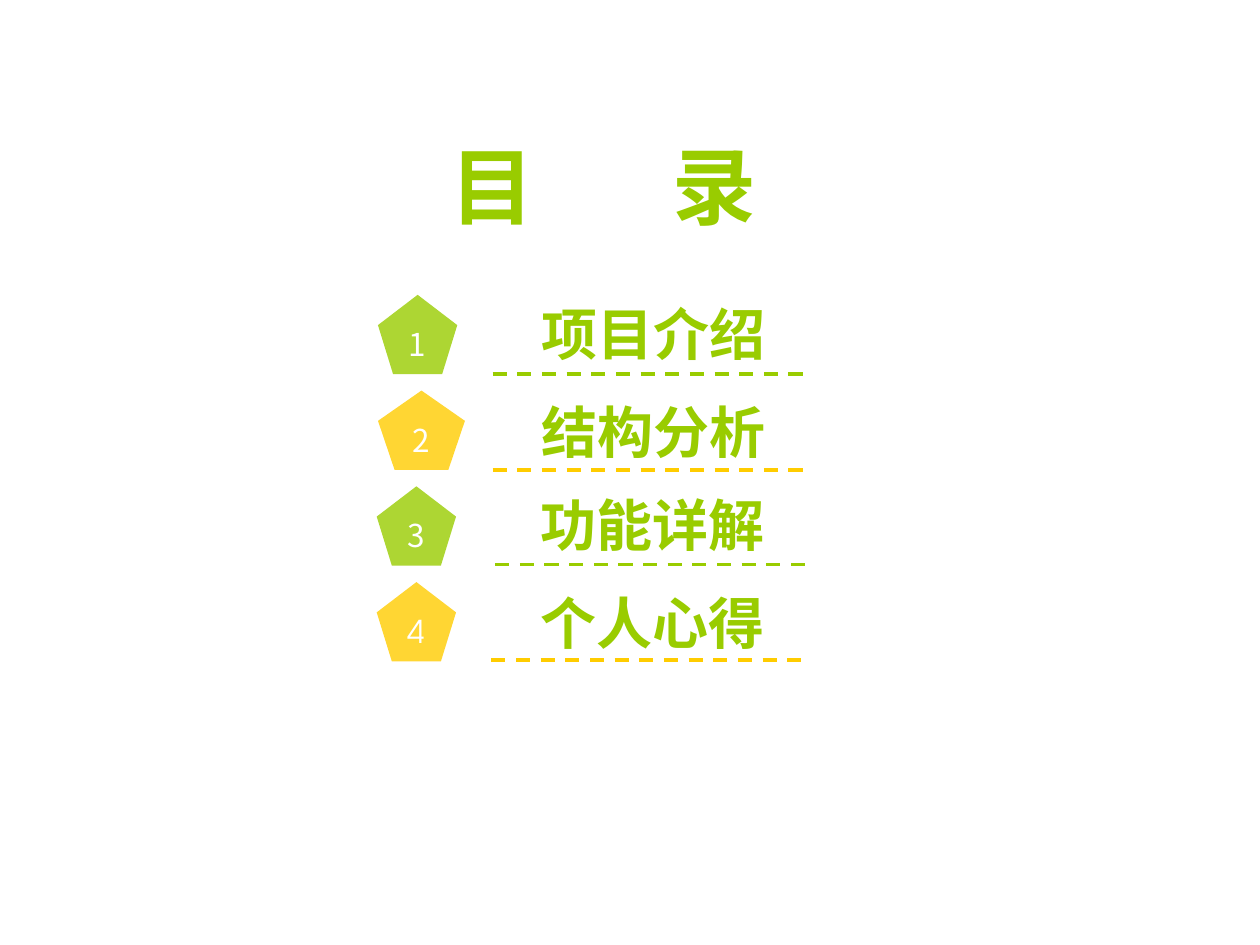
from lxml import etree
from pptx import Presentation
from pptx.dml.color import RGBColor
from pptx.enum.dml import MSO_LINE
from pptx.enum.shapes import MSO_CONNECTOR, MSO_SHAPE as SHAPE
from pptx.enum.text import MSO_ANCHOR, MSO_AUTO_SIZE, PP_ALIGN
from pptx.oxml.ns import qn
from pptx.util import Inches, Pt

COLORS = {"green": "99CC00", "yellow": "FFCC00", "white": "FFFFFF"}
HEADING_FONT = "TeX Gyre Adventor"
NUMBER_FONT = "Noto Sans CJK SC"
FIRST_TOP, PITCH, BADGE_HEIGHT = 2.34, 0.76, 0.63
RULE_LENGTH = 2.52

ENTRIES = [
    ("项目介绍", "green", NUMBER_FONT, 3, 0.63, 3.91, 2.97, 3.63, 2.33),
    ("结构分析", "yellow", NUMBER_FONT, 3, 0.69, 3.91, 3.73, 3.63, 3.11),
    ("功能详解", "green", NUMBER_FONT, 2.99, 0.63, 3.93, 4.48, 3.62, 3.84),
    ("个人心得", "yellow", HEADING_FONT, 2.99, 0.63, 3.9, 5.24, 3.62, 4.62),
]


def rgb(name):
    return RGBColor.from_string(COLORS[name])


def style_runs(paragraph, size, color, font_name, bold=False):
    paragraph.alignment = PP_ALIGN.CENTER
    for run in paragraph.runs:
        run.font.size = Pt(size)
        run.font.bold = bold
        run.font.name = font_name
        run.font.color.rgb = rgb(color)
        east_asian = etree.SubElement(run.font._element, qn("a:ea"))
        east_asian.set("typeface", font_name)


def add_heading(slide, text, left, top, width, height, size):
    box = slide.shapes.add_textbox(Inches(left), Inches(top), Inches(width), Inches(height))
    box.text_frame.word_wrap = True
    box.text_frame.auto_size = MSO_AUTO_SIZE.SHAPE_TO_FIT_TEXT
    paragraph = box.text_frame.paragraphs[0]
    paragraph.text = text
    style_runs(paragraph, size, "green", HEADING_FONT, bold=True)
    return paragraph


def add_title(slide):
    title = add_heading(slide, "目 ", 2.34, 1.02, 4.9, 0.9, 48)
    title.runs[0].font._element.set("spc", "3250")
    title.add_run().text = "录"
    last = title.runs[1]
    last.font.size = Pt(48)
    last.font.bold = True
    last.font.name = HEADING_FONT
    last.font.color.rgb = rgb("green")
    etree.SubElement(last.font._element, qn("a:ea")).set("typeface", HEADING_FONT)


def add_badge(slide, number, color, font_name, left, top, width):
    badge = slide.shapes.add_shape(
        SHAPE.REGULAR_PENTAGON, Inches(left), Inches(top), Inches(width), Inches(BADGE_HEIGHT))
    badge.shadow.inherit = False
    badge.fill.solid()
    badge.fill.fore_color.rgb = rgb(color)
    fill_color = badge._element.spPr.find(qn("a:solidFill"))[0]
    etree.SubElement(fill_color, qn("a:alpha")).set("val", "80000")
    badge.line.fill.background()
    frame = badge.text_frame
    frame.word_wrap = False
    frame.vertical_anchor = MSO_ANCHOR.MIDDLE
    frame.text = str(number)
    style_runs(frame.paragraphs[0], 18, "white", font_name)


def add_rule(slide, color, left, top):
    rule = slide.shapes.add_connector(
        MSO_CONNECTOR.STRAIGHT, Inches(left), Inches(top), Inches(left + RULE_LENGTH), Inches(top))
    rule.line.color.rgb = rgb(color)
    rule.line.width = Pt(2)
    rule.line.dash_style = MSO_LINE.DASH
    etree.SubElement(rule._element.spPr, qn("a:effectLst"))


def main():
    deck = Presentation()
    deck.slide_width, deck.slide_height = Inches(10), Inches(7.5)
    slide = deck.slides.add_slide(deck.slide_layouts[6])
    add_title(slide)
    for index, entry in enumerate(ENTRIES):
        (label, color, number_font, badge_left, badge_width,
         rule_left, rule_top, label_left, label_top) = entry
        badge_top = FIRST_TOP + index * PITCH
        add_badge(slide, index + 1, color, number_font, badge_left, badge_top, badge_width)
        add_rule(slide, color, rule_left, rule_top)
        add_heading(slide, label, label_left, label_top, 3.12, 0.64, 32)
    deck.save("out.pptx")


if __name__ == "__main__":
    main()
